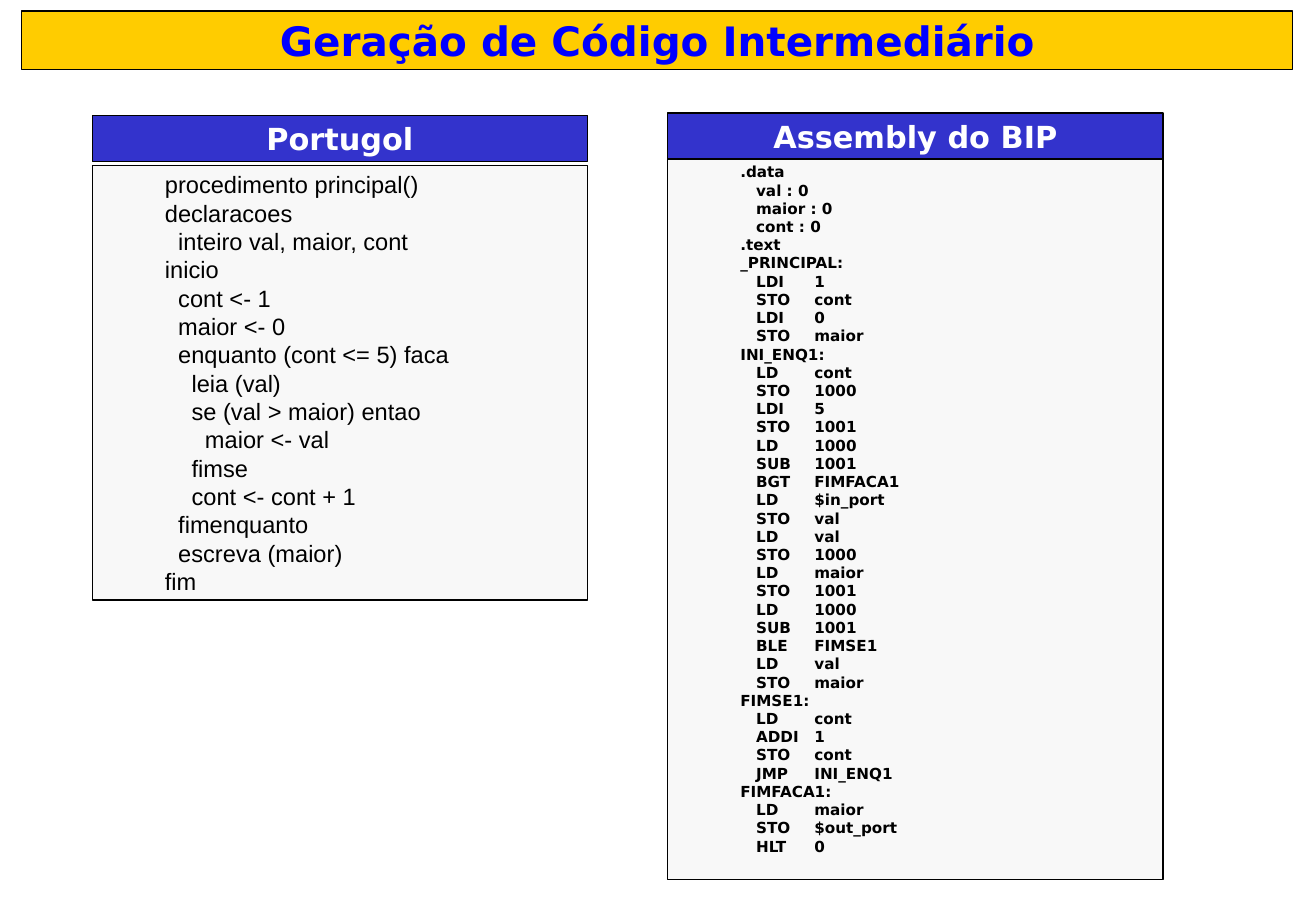
from pptx import Presentation
from pptx.dml.color import RGBColor
from pptx.enum.shapes import MSO_SHAPE as Shape
from pptx.enum.text import MSO_ANCHOR as Anchor, PP_ALIGN as Align
from pptx.util import Emu, Pt

BLACK = RGBColor(0x00, 0x00, 0x00)
WHITE = RGBColor(0xFF, 0xFF, 0xFF)
BLUE = RGBColor(0x00, 0x00, 0xFF)
NAVY = RGBColor(0x33, 0x33, 0xCC)
GOLD = RGBColor(0xFF, 0xCC, 0x00)
PALE = RGBColor(0xF8, 0xF8, 0xF8)

PORTUGOL = """\
procedimento principal()
declaracoes
  inteiro val, maior, cont
inicio
  cont <- 1
  maior <- 0
  enquanto (cont <= 5) faca
    leia (val)
    se (val > maior) entao
      maior <- val
    fimse
    cont <- cont + 1
  fimenquanto
  escreva (maior)
fim"""

ASSEMBLY = """\
.data
  val : 0
  maior : 0
  cont : 0
.text
_PRINCIPAL:
  LDI 1
  STO cont
  LDI 0
  STO maior
INI_ENQ1:
  LD cont
  STO 1000
  LDI 5
  STO 1001
  LD 1000
  SUB 1001
  BGT FIMFACA1
  LD $in_port
  STO val
  LD val
  STO 1000
  LD maior
  STO 1001
  LD 1000
  SUB 1001
  BLE FIMSE1
  LD val
  STO maior
FIMSE1:
  LD cont
  ADDI 1
  STO cont
  JMP INI_ENQ1
FIMFACA1:
  LD maior
  STO $out_port
  HLT 0"""


class SlideWriter:
    """Draws headings and code listings on one page, in px of 1/100 inch."""

    SCALE = 9144
    MARGIN = 50
    OPERAND = 48
    HEADING_FONT = "DejaVu Sans"

    def __init__(self, width, height):
        self.deck = Presentation()
        self.deck.slide_width = self.px(width)
        self.deck.slide_height = self.px(height)
        self.page = self.deck.slides.add_slide(self.deck.slide_layouts[6])

    def px(self, length):
        return Emu(length * self.SCALE)

    def box(self, left, top, width, height, fill):
        box = self.page.shapes.add_shape(
            Shape.RECTANGLE, *map(self.px, (left, top, width, height)))
        box.shadow.inherit = False
        box.fill.solid()
        box.fill.fore_color.rgb = fill
        box.line.color.rgb = BLACK
        box.line.width = Pt(0.75)
        frame = box.text_frame
        frame.word_wrap = True
        frame.vertical_anchor = Anchor.TOP
        frame.margin_left = frame.margin_right = self.px(10)
        frame.margin_top = frame.margin_bottom = self.px(4)
        return frame

    def style(self, para, name, size, color, bold, align):
        font = para.font
        font.name, font.size, font.bold = name, Pt(size), bold
        font.color.rgb = color
        para.alignment = align

    def heading(self, text, place, size, color, fill):
        para = self.box(*place, fill).paragraphs[0]
        para.text = text
        self.style(para, self.HEADING_FONT, size, color, True, Align.CENTER)

    def listing(self, code, place, name, size, step, bold=False):
        frame = self.box(*place, PALE)
        for number, line in enumerate(code.splitlines()):
            para = frame.add_paragraph() if number else frame.paragraphs[0]
            text = line.lstrip()
            depth = (len(line) - len(text)) // 2
            indent, hang = self.MARGIN + depth * step, 0
            word, _, operand = text.partition(" ")
            if operand and word.isupper():
                text, hang = f"{word}\t{operand}", self.OPERAND
            para.text = text
            self.style(para, name, size, BLACK, bold, Align.JUSTIFY)
            para.line_spacing = Pt(size * 1.2)
            layout = para._p.get_or_add_pPr()
            layout.set("marL", str(self.px(indent + hang)))
            layout.set("indent", str(self.px(-hang)))

    def save(self):
        self.deck.save("out.pptx")


def main():
    slide = SlideWriter(1084, 750)
    slide.heading("Geração de Código Intermediário", (18, 9, 1047, 48), 24, BLUE, GOLD)
    slide.listing(PORTUGOL, (76, 136, 408, 358), "Arial", 14, 11)
    slide.heading("Portugol", (76, 95, 408, 38), 18, WHITE, NAVY)
    slide.listing(ASSEMBLY, (550, 130, 408, 594), "DejaVu Sans", 9, 13, bold=True)
    slide.heading("Assembly do BIP", (550, 93, 408, 38), 18, WHITE, NAVY)
    slide.save()


if __name__ == "__main__":
    main()
